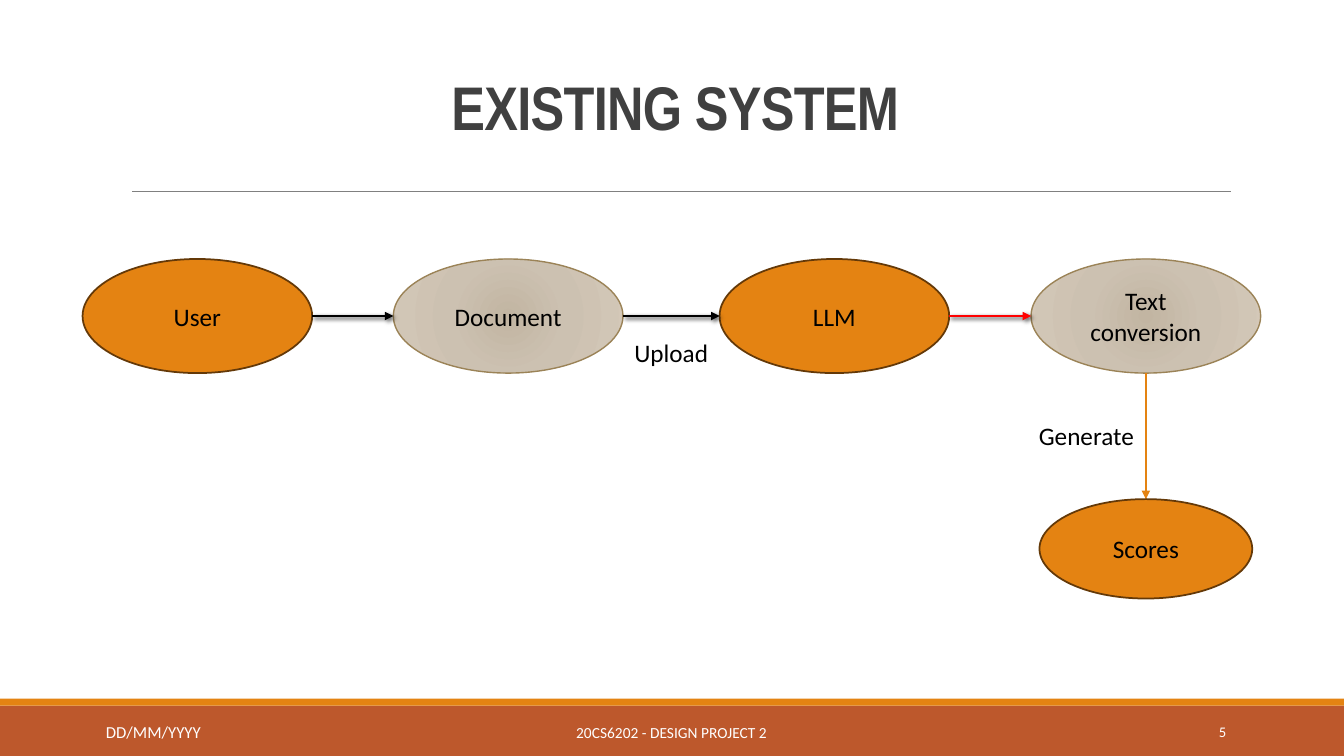
from dataclasses import dataclass

from lxml import etree
from pptx import Presentation
from pptx.dml.color import RGBColor
from pptx.enum.shapes import MSO_CONNECTOR, MSO_SHAPE
from pptx.enum.text import MSO_ANCHOR, PP_ALIGN
from pptx.oxml import parse_xml
from pptx.oxml.ns import nsdecls, qn
from pptx.util import Pt

LEFT, CENTER, RIGHT = PP_ALIGN.LEFT, PP_ALIGN.CENTER, PP_ALIGN.RIGHT
TOP, MIDDLE = MSO_ANCHOR.TOP, MSO_ANCHOR.MIDDLE
RECT, OVAL = MSO_SHAPE.RECTANGLE, MSO_SHAPE.OVAL
STRAIGHT = MSO_CONNECTOR.STRAIGHT


@dataclass(frozen=True)
class Theme:
    heading: str = "Arial Narrow"
    body: str = "Calibri"
    title_size: float = 44
    node_size: float = 18
    date_size: float = 12
    footer_size: float = 11
    number_size: float = 10.5
    orange: str = "E48312"
    rust: str = "BD582C"
    brown: str = "643908"
    tan: str = "9B8357"
    grey: str = "808080"
    dark: str = "404040"
    black: str = "000000"
    white: str = "FFFFFF"
    red: str = "FF0000"
    sand: tuple = ((0, "C2B5A2"), (45, "CCC1B1"), (100, "D4C8B8"))


@dataclass(frozen=True)
class Node:
    text: str
    x: float
    y: float = 185
    w: float = 164
    h: float = 81.5
    sand: bool = False

    @property
    def left(self):
        return self.x, self.y + self.h / 2

    @property
    def right(self):
        return self.x + self.w, self.y + self.h / 2

    @property
    def top(self):
        return self.x + self.w / 2, self.y

    @property
    def bottom(self):
        return self.x + self.w / 2, self.y + self.h


@dataclass(frozen=True)
class Arrow:
    start: tuple
    end: tuple
    color: str
    width: float = 2
    shadow: bool = True


@dataclass(frozen=True)
class Label:
    text: str
    box: tuple
    size: float
    color: str
    font: str = "Calibri"
    align: PP_ALIGN = LEFT
    anchor: MSO_ANCHOR = TOP
    bold: bool = False
    line_spacing: float = 1.0
    tracking: int = 0


T = Theme()
USER = Node("User", 59)
DOCUMENT = Node("Document", 281, sand=True)
LLM = Node("LLM", 514)
CONVERSION = Node("Text conversion", 736.5, sand=True)
SCORES = Node("Scores", 742.5, 356.5, 152, 71)
NODES = (USER, DOCUMENT, LLM, CONVERSION, SCORES)

ARROWS = (
    Arrow(USER.right, DOCUMENT.left, T.black),
    Arrow(DOCUMENT.right, LLM.left, T.black),
    Arrow(LLM.right, CONVERSION.left, T.red),
    Arrow(CONVERSION.bottom, SCORES.top, T.orange, 1, False),
)

LABELS = (
    Label("EXISTING SYSTEM", (86.4, 22.5, 792, 114.5), T.title_size, T.dark, T.heading,
          CENTER, MIDDLE, True, 0.85, -50),
    Label("20CS6202 - DESIGN PROJECT 2", (290, 508.5, 379.5, 28.5), T.footer_size, T.white,
          align=CENTER, anchor=MIDDLE),
    Label("5", (780, 508.5, 103, 28.5), T.number_size, T.white, align=RIGHT, anchor=MIDDLE),
    Label("DD/MM/YYYY", (68.5, 512, 186.5, 21.5), T.date_size, T.white),
    Label("Upload", (446, 237.5, 127, 29), T.node_size, T.black),
    Label("Generate", (735, 296.5, 83.5, 29), T.node_size, T.black),
)


def rgb(color: str) -> RGBColor:
    return RGBColor.from_string(color)


def write(s, text: str, *, size: float, color: str, font: str = T.body, align=CENTER,
          anchor=MIDDLE, bold: bool = False, line_spacing: float = 1.0,
          tracking: int = 0) -> None:
    """Fill a shape with one formatted paragraph; tracking is in hundredths of a point."""
    tf = s.text_frame
    tf.word_wrap = True
    tf.vertical_anchor = anchor
    p = tf.paragraphs[0]
    p.alignment = align
    p.line_spacing = line_spacing
    r = p.add_run()
    r.text = text
    r.font.name, r.font.size, r.font.bold = font, Pt(size), bold
    r.font.color.rgb = rgb(color)
    if tracking:
        r.font._element.set("spc", str(tracking))


def add_filled(slide, kind, box: tuple, color: str):
    s = slide.shapes.add_shape(kind, *map(Pt, box))
    s.shadow.inherit = False
    s.fill.solid()
    s.fill.fore_color.rgb = rgb(color)
    s.line.fill.background()
    return s


def set_radial_fill(s, stops: tuple) -> None:
    gs = "".join(f'<a:gs pos="{pos * 1000}"><a:srgbClr val="{color}"/></a:gs>'
                 for pos, color in stops)
    grad = parse_xml(
        f'<a:gradFill {nsdecls("a")} rotWithShape="1"><a:gsLst>{gs}</a:gsLst>'
        '<a:path path="circle"><a:fillToRect l="100000" t="100000" r="100000" b="100000"/>'
        '</a:path></a:gradFill>')
    pr = s._element.spPr
    pr.replace(pr.find(qn("a:solidFill")), grad)


def add_node(slide, node: Node) -> None:
    s = add_filled(slide, OVAL, (node.x, node.y, node.w, node.h), T.orange)
    if node.sand:
        set_radial_fill(s, T.sand)
    s.line.color.rgb = rgb(T.tan if node.sand else T.brown)
    s.line.width = Pt(1 if node.sand else 1.25)
    write(s, node.text, size=T.node_size, color=T.black)


def add_line(slide, start: tuple, end: tuple, color: str, width: float):
    """Draw a straight line with an empty effect list, which is returned with it."""
    s = slide.shapes.add_connector(STRAIGHT, *map(Pt, start + end))
    s.line.color.rgb = rgb(color)
    s.line.width = Pt(width)
    return s, etree.SubElement(s._element.spPr, qn("a:effectLst"))


def add_arrow(slide, arrow: Arrow) -> None:
    s, effects = add_line(slide, arrow.start, arrow.end, arrow.color, arrow.width)
    etree.SubElement(s.line._get_or_add_ln(), qn("a:tailEnd"), type="triangle")
    if arrow.shadow:
        effects.append(parse_xml(
            f'<a:outerShdw {nsdecls("a")} blurRad="{Pt(3)}" dist="{Pt(2)}" dir="2700000" '
            f'rotWithShape="0"><a:srgbClr val="{T.black}"><a:alpha val="60000"/></a:srgbClr>'
            '</a:outerShdw>'))


def add_label(slide, label: Label) -> None:
    s = slide.shapes.add_textbox(*map(Pt, label.box))
    write(s, label.text, size=label.size, color=label.color, font=label.font,
          align=label.align, anchor=label.anchor, bold=label.bold,
          line_spacing=label.line_spacing, tracking=label.tracking)


def main() -> None:
    prs = Presentation()
    prs.slide_width, prs.slide_height = Pt(960), Pt(540)
    slide = prs.slides.add_slide(prs.slide_layouts[6])
    add_filled(slide, RECT, (0, 504, 960, 36), T.rust)
    add_filled(slide, RECT, (0, 499, 960, 5), T.orange)
    add_line(slide, (94.5, 136.8), (879, 136.8), T.grey, 0.5)
    for node in NODES:
        add_node(slide, node)
    for arrow in ARROWS:
        add_arrow(slide, arrow)
    for label in LABELS:
        add_label(slide, label)
    prs.save("out.pptx")


if __name__ == "__main__":
    main()
